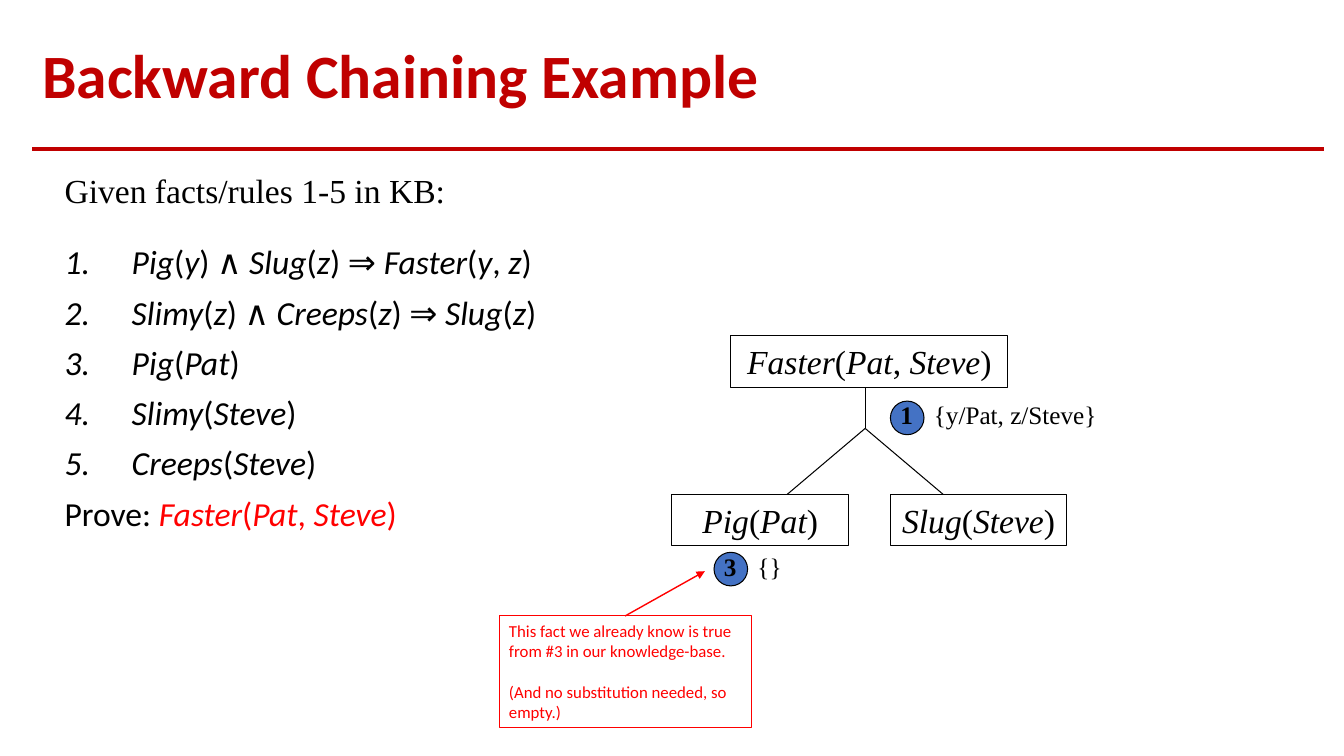
from dataclasses import dataclass

from lxml import etree
from pptx import Presentation
from pptx.dml.color import RGBColor
from pptx.enum import shapes, text
from pptx.oxml import ns
from pptx.util import Pt


@dataclass(frozen=True)
class Theme:
    heading: RGBColor = RGBColor(0xC0, 0x00, 0x00)
    ink: RGBColor = RGBColor(0x00, 0x00, 0x00)
    accent: RGBColor = RGBColor(0xFF, 0x00, 0x00)
    badge: RGBColor = RGBColor(0x44, 0x72, 0xC4)
    paper: RGBColor = RGBColor(0xFF, 0xFF, 0xFF)
    sans: str = "Calibri"
    serif: str = "Times New Roman"
    title_size: int = 44
    body_size: int = 24
    label_size: int = 18
    note_size: int = 12


theme = Theme()


def write(paragraph, markup, size, face=theme.serif, color=theme.ink, bold=False):
    """Append runs to the paragraph; stretches between asterisks are italic."""
    for i, part in enumerate(markup.split("*")):
        if part:
            run = paragraph.add_run()
            run.text = part
            run.font.name, run.font.size = face, Pt(size)
            run.font.color.rgb = color
            run.font.bold, run.font.italic = bold, i % 2 == 1


def draw_line(x1, y1, x2, y2, color=theme.ink, width=0.75):
    line = slide.shapes.add_connector(
        shapes.MSO_CONNECTOR.STRAIGHT, Pt(x1), Pt(y1), Pt(x2), Pt(y2))
    line.line.color.rgb, line.line.width = color, Pt(width)
    etree.SubElement(line._element.spPr, ns.qn("a:effectLst"))
    return line


prs = Presentation()
prs.slide_width, prs.slide_height = Pt(960), Pt(540)
slide = prs.slides.add_slide(prs.slide_layouts[5])

# Title and rule
draw_line(23, 106.5, 946, 106.5, theme.heading, 2.5)
title = slide.shapes.title
title.left, title.top, title.width, title.height = Pt(23), Pt(20), Pt(923), Pt(72)
title.text_frame.text = "Backward Chaining Example"
title.text_frame.vertical_anchor = text.MSO_ANCHOR.MIDDLE
heading = title.text_frame.paragraphs[0]
heading.alignment, heading.line_spacing = text.PP_ALIGN.LEFT, 0.9
heading_font = heading.runs[0].font
heading_font.name, heading_font.size = theme.sans, Pt(theme.title_size)
heading_font.bold, heading_font.color.rgb = True, theme.heading

# Knowledge base
intro = slide.shapes.add_textbox(Pt(39), Pt(118), Pt(306), Pt(36.5))
intro.text_frame.word_wrap = True
write(intro.text_frame.paragraphs[0], "Given facts/rules 1-5 in KB:", theme.body_size)

facts = [
    "*Pig*(*y*) ∧ *Slug*(*z*) ⇒ *Faster*(*y*, *z*)",
    "*Slimy*(*z*) ∧ *Creeps*(*z*) ⇒ *Slug*(*z*)",
    "*Pig*(*Pat*)",
    "*Slimy*(*Steve*)",
    "*Creeps*(*Steve*)",
]
goal = "*Faster*(*Pat*, *Steve*)"
knowledge = slide.shapes.add_textbox(Pt(39), Pt(172), Pt(492), Pt(348)).text_frame
knowledge.word_wrap = True
for i, fact in enumerate(facts + ["Prove: "]):
    entry = knowledge.add_paragraph() if i else knowledge.paragraphs[0]
    entry.line_spacing, entry.space_before = 0.9, Pt(10)
    write(entry, fact, theme.body_size, theme.sans)
    props = entry._p.get_or_add_pPr()
    props.set("marL", str(Pt(48)))
    props.set("indent", str(-Pt(48)))
    if i < len(facts):
        etree.SubElement(props, ns.qn("a:buFont"), typeface="+mj-lt")
        etree.SubElement(props, ns.qn("a:buAutoNum"), type="arabicPeriod")
    else:
        etree.SubElement(props, ns.qn("a:buNone"))
        write(entry, goal, theme.body_size, theme.sans, theme.accent)

# Proof tree
fork_x, fork_y = 618, 306
for end_x, end_y in [(540, 372), (696, 372), (fork_x, 264)]:
    draw_line(fork_x, fork_y, end_x, end_y)

for statement, left, top, width in [
    ("*Pig*(*Pat*)", 480, 353.5, 126),
    ("*Slug*(*Steve*)", 636, 353.5, 126),
    (goal, 522, 240, 198),
]:
    node = slide.shapes.add_shape(
        shapes.MSO_SHAPE.RECTANGLE, Pt(left), Pt(top), Pt(width), Pt(36.5))
    node.shadow.inherit = False
    node.fill.solid()
    node.fill.fore_color.rgb = theme.paper
    node.line.color.rgb, node.line.width = theme.ink, Pt(0.75)
    node.text_frame.word_wrap = True
    node.text_frame.paragraphs[0].alignment = text.PP_ALIGN.CENTER
    write(node.text_frame.paragraphs[0], statement, theme.body_size)

# Rule used at each step, with its substitution
for rule, substitution, left, top, width in [
    ("1", "{y/Pat, z/Steve}", 636, 282, 132),
    ("3", "{}", 510, 390, 36),
]:
    badge = slide.shapes.add_shape(
        shapes.MSO_SHAPE.OVAL, Pt(left), Pt(top + 4.5), Pt(24), Pt(24))
    badge.shadow.inherit = False
    badge.fill.solid()
    badge.fill.fore_color.rgb = theme.badge
    badge.line.color.rgb, badge.line.width = theme.ink, Pt(0.75)
    for label, x, label_width, bold in [
        (rule, left, 30, True), (substitution, left + 24, width, False),
    ]:
        box = slide.shapes.add_textbox(Pt(x), Pt(top), Pt(label_width), Pt(29))
        box.text_frame.word_wrap = True
        write(box.text_frame.paragraphs[0], label, theme.label_size, bold=bold)

# Callout
callout = slide.shapes.add_shape(
    shapes.MSO_SHAPE.RECTANGLE, Pt(356.5), Pt(440), Pt(180), Pt(80))
callout.shadow.inherit = False
callout.fill.background()
callout.line.color.rgb, callout.line.width = theme.accent, Pt(0.75)
callout.text_frame.word_wrap = True
callout.text_frame.vertical_anchor = text.MSO_ANCHOR.TOP
remark = callout.text_frame.paragraphs[0]
aside = callout.text_frame.add_paragraph()
aside.space_before = Pt(14.5)
for paragraph, words in [
    (remark, "This fact we already know is true from #3 in our knowledge-base."),
    (aside, "(And no substitution needed, so empty.)"),
]:
    paragraph.alignment = text.PP_ALIGN.LEFT
    write(paragraph, words, theme.note_size, theme.sans, theme.accent)

pointer = draw_line(446.5, 440, 503.5, 408, theme.accent, 1)
pointer.begin_connect(callout, 0)
etree.SubElement(pointer.line._get_or_add_ln(), ns.qn("a:tailEnd"), type="triangle")

prs.save("out.pptx")
